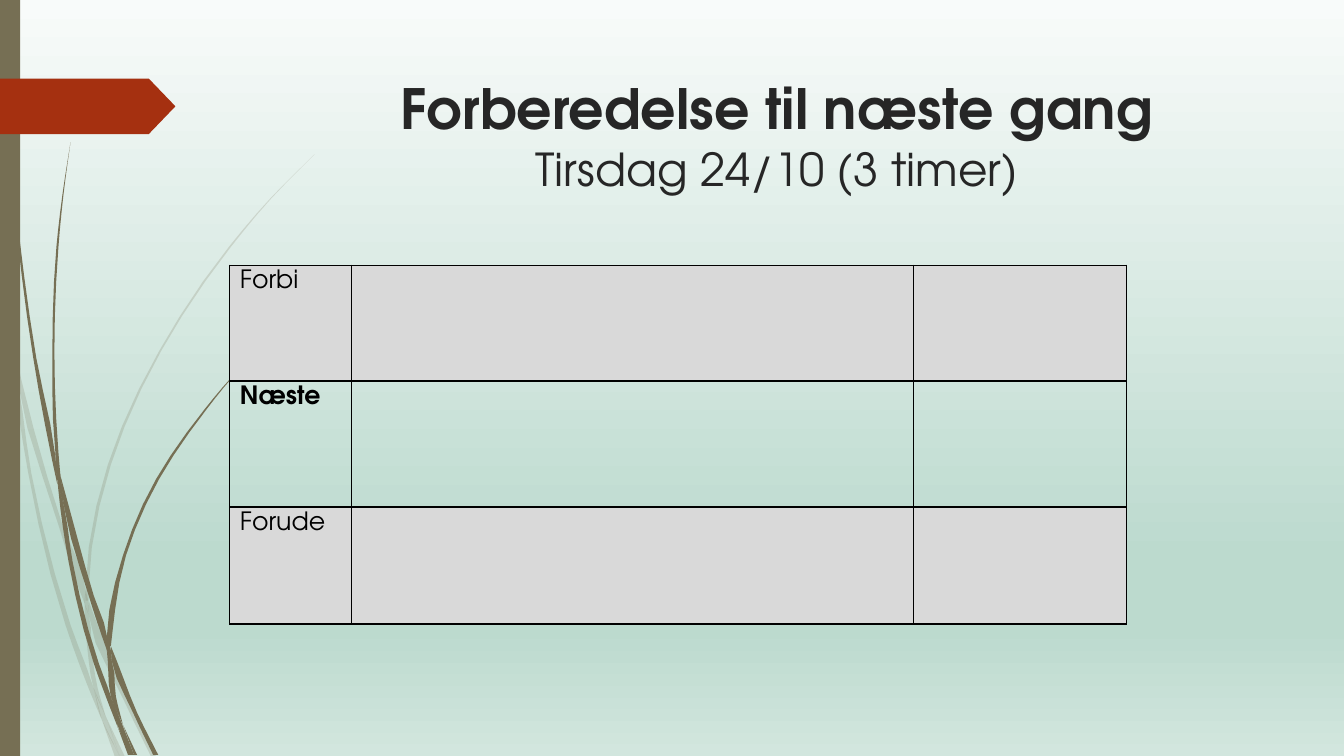
from dataclasses import dataclass
from lxml import etree
from pptx import Presentation
from pptx.dml.color import RGBColor
from pptx.enum.shapes import MSO_SHAPE
from pptx.enum.text import MSO_ANCHOR, PP_ALIGN
from pptx.oxml.ns import qn
from pptx.util import Inches, Pt

RECT, ARROW = MSO_SHAPE.RECTANGLE, MSO_SHAPE.PENTAGON
TOP, CENTER = MSO_ANCHOR.TOP, PP_ALIGN.CENTER

FAINT = [
    [(2.82, 0, 0), (2.99, 0, .04), (3.22, .05, .09), (3.5, .11, .11)],
    [(3.45, .14, .14), (3.76, .17, .21), (5.21, .58, .62), (5.86, .79, .85),
     (5.99, .84, .84)],
    [(5.96, .88, .88), (6.1, .88, .93), (6.93, 1.22, 1.27), (7.51, 1.5, 1.55)],
    [(7.11, 1.05, 1.05), (7.51, 1.19, 1.24)],
    [(3.5, .11, .11), (3.76, .14, .17), (4.69, .28, .31), (6.2, .65, .7),
     (6.83, .88, .93), (7.14, 1.01, 1.01)],
    [(5.99, .84, .84), (6.1, .84, .88), (6.46, .87, .91), (6.83, .93, .97),
     (7.11, 1.05, 1.05)],
    [(1.53, 3.12, 3.12), (1.97, 2.68, 2.69), (2.45, 2.27, 2.29), (3.48, 1.58, 1.6),
     (4.61, 1.07, 1.1), (5.84, .85, .88), (5.96, .85, .88)],
    [(7.14, 1.01, 1.01), (7.51, 1.14, 1.19)],
    [(5.86, .85, .85), (5.99, .84, .88), (6.1, .88, .88)],
    [(6.83, .93, .93), (7.11, 1, 1.05), (7.51, 1.19, 1.19)],
]
DARK = [
    [(0, .03, .04), (1.1, .07, .08), (2.33, .17, .19), (3.55, .33, .36),
     (4.53, .51, .55), (4.81, .57, .57)],
    [(4.72, .6, .6), (5.05, .64, .69), (5.91, .88, .93), (6.31, 1.01, 1.06),
     (6.45, 1.06, 1.06)],
    [(6.41, 1.1, 1.1), (6.56, 1.11, 1.16), (7.07, 1.32, 1.36), (7.49, 1.52, 1.57)],
    [(4.77, .57, .57), (5.05, .6, .64), (5.57, .68, .72), (6.58, .93, .98),
     (6.91, 1.05, 1.1), (7.22, 1.17, 1.17)],
    [(1.41, .7, .7), (1.93, .62, .63), (2.45, .56, .58), (3.49, .52, .54),
     (4.49, .55, .58), (4.72, .58, .6)],
    [(7.19, 1.22, 1.22), (7.49, 1.33, 1.36)],
    [(4.49, .55, .55), (4.72, .56, .6), (5.05, .64, .64)],
    [(3.44, 2.6, 2.61), (3.74, 2.3, 2.31), (4.06, 2.03, 2.05), (4.75, 1.55, 1.58),
     (5.51, 1.22, 1.25), (6.32, 1.06, 1.11), (6.41, 1.06, 1.1)],
    [(7.22, 1.17, 1.17), (7.49, 1.27, 1.31)],
    [(6.45, 1.06, 1.06), (6.56, 1.07, 1.11), (6.91, 1.1, 1.15), (7.19, 1.22, 1.22)],
    [(6.31, 1.06, 1.06), (6.45, 1.06, 1.1), (6.56, 1.11, 1.11)],
    [(6.91, 1.1, 1.1), (7.18, 1.16, 1.21), (7.49, 1.3, 1.33)],
]


@dataclass(frozen=True)
class Theme:
    """Colours, font and type sizes."""
    font: str = "TeX Gyre Adventor"
    stem: str = "766F54"
    tag: str = "A53010"
    title: str = "262626"
    ink: str = "000000"
    band: str = "D9D9D9"
    sky: tuple = ((0, "F8FBFA"), (74, "BCDACE"), (83, "BCDACE"), (100, "D2E6DE"))
    head: float = 39.6
    sub: float = 32.4
    body: float = 18
    line: float = 1


def smooth(knots, steps=3):
    """Return points on a smooth curve x(y) through the (y, x) knots."""
    gaps = [b[0] - a[0] for a, b in zip(knots, knots[1:])]
    rates = [(b[1] - a[1]) / gap for a, b, gap in zip(knots, knots[1:], gaps)]
    inner = [(rates[i] * gaps[i + 1] + rates[i + 1] * gaps[i]) / (gaps[i] + gaps[i + 1])
             for i in range(len(gaps) - 1)]
    slopes = [rates[0], *inner, rates[-1]]
    points = []
    for i, gap in enumerate(gaps):
        (y, xa), (_, xb) = knots[i], knots[i + 1]
        for step in range(steps):
            t = step / steps
            ease = t * t * (3 - 2 * t)
            bend = slopes[i] * t * (1 - t) ** 2 - slopes[i + 1] * t * t * (1 - t)
            points.append((xa + (xb - xa) * ease + gap * bend, y + gap * t))
    y, x = knots[-1]
    return points + [(x, y)]


class Deck:
    """Holds the theme and the current slide, and draws each kind of element."""

    def __init__(self, theme):
        """Open a blank wide slide."""
        self.theme = theme
        self.show = Presentation()
        self.show.slide_width, self.show.slide_height = Inches(13.33), Inches(7.5)
        self.slide = self.show.slides.add_slide(self.show.slide_layouts[6])

    def sky(self):
        """Fill the background with a vertical gradient."""
        fill = self.slide.background.fill
        fill.gradient()
        fill.gradient_angle = 270
        stops = next(self.slide.background._cSld.iter(qn("a:gsLst")))
        for stop in list(stops):
            stops.remove(stop)
        for place, color in self.theme.sky:
            stop = etree.SubElement(stops, qn("a:gs"), pos=str(place * 1000))
            etree.SubElement(stop, qn("a:srgbClr"), val=color)

    def paint(self, shape, color):
        """Give a shape a plain fill without line or shadow."""
        shape.shadow.inherit = False
        shape.fill.solid()
        shape.fill.fore_color.rgb = RGBColor.from_string(color)
        shape.line.fill.background()

    def block(self, kind, box, color):
        """Draw a preset shape."""
        shape = self.slide.shapes.add_shape(kind, *map(Inches, box))
        self.paint(shape, color)
        return shape

    def stem(self, rows, alpha=100):
        """Draw a curved stem from rows of height, left edge and right edge."""
        left = smooth([(y, a) for y, a, _ in rows])
        right = smooth([(y, b) for y, _, b in rows])
        points = [(Inches(x), Inches(y)) for x, y in left + right[::-1]]
        pen = self.slide.shapes.build_freeform(*points[0])
        pen.add_line_segments(points[1:])
        shape = pen.convert_to_shape()
        self.paint(shape, self.theme.stem)
        if alpha < 100:
            color = next(shape._element.spPr.iter(qn("a:srgbClr")))
            etree.SubElement(color, qn("a:alpha"), val=str(alpha * 1000))

    def style(self, run, size, color, bold):
        """Format one run."""
        font = run.font
        font.name, font.size, font.bold = self.theme.font, Pt(size), bold
        font.color.rgb = RGBColor.from_string(color)

    def title(self, box, text):
        """Write a bold heading with a lighter line below."""
        frame = self.slide.shapes.add_textbox(*map(Inches, box)).text_frame
        frame.word_wrap, frame.vertical_anchor = True, TOP
        frame.text = text
        para = frame.paragraphs[0]
        para.alignment = CENTER
        head, sub = para.runs
        self.style(head, self.theme.head, self.theme.title, True)
        self.style(sub, self.theme.sub, self.theme.title, False)

    def edge(self, cell):
        """Draw the four borders of a cell."""
        props = cell._tc.get_or_add_tcPr()
        for i, side in enumerate(("lnL", "lnR", "lnT", "lnB")):
            line = etree.Element(qn("a:" + side), w=str(Pt(self.theme.line)))
            fill = etree.SubElement(line, qn("a:solidFill"))
            etree.SubElement(fill, qn("a:srgbClr"), val=self.theme.ink)
            props.insert(i, line)

    def table(self, left, top, cols, rows, labels, strong):
        """Draw a grid with labels in the first column and one clear, bold row."""
        box = map(Inches, (left, top, sum(cols), sum(rows)))
        grid = self.slide.shapes.add_table(len(rows), len(cols), *box).table
        grid.first_row = grid.horz_banding = False
        for col, width in zip(grid.columns, cols):
            col.width = Inches(width)
        for row, height, label in zip(grid.rows, rows, labels):
            row.height = Inches(height)
            for cell in row.cells:
                if label == strong:
                    cell.fill.background()
                else:
                    cell.fill.solid()
                    cell.fill.fore_color.rgb = RGBColor.from_string(self.theme.band)
                self.edge(cell)
            para = row.cells[0].text_frame.paragraphs[0]
            para.text = label
            self.style(para.runs[0], self.theme.body, self.theme.ink, label == strong)


def main():
    """Build the slide and save it."""
    theme = Theme()
    deck = Deck(theme)
    deck.sky()
    for rows in FAINT:
        deck.stem(rows, 20)
    for rows in DARK:
        deck.stem(rows)
    deck.block(RECT, (0, 0, .2, 7.5), theme.stem)
    tag = deck.block(ARROW, (0, .78, 1.74, .55), theme.tag)
    tag.adjustments[0] = .48
    deck.title((2.83, .69, 9.75, 1.4),
               "Forberedelse til næste gang\vTirsdag 24/10 (3 timer)")
    deck.table(2.28, 2.63, (1.21, 5.57, 2.11), (1.15, 1.25, 1.16),
               ("Forbi", "Næste", "Forude"), "Næste")
    deck.show.save("out.pptx")


if __name__ == "__main__":
    main()
